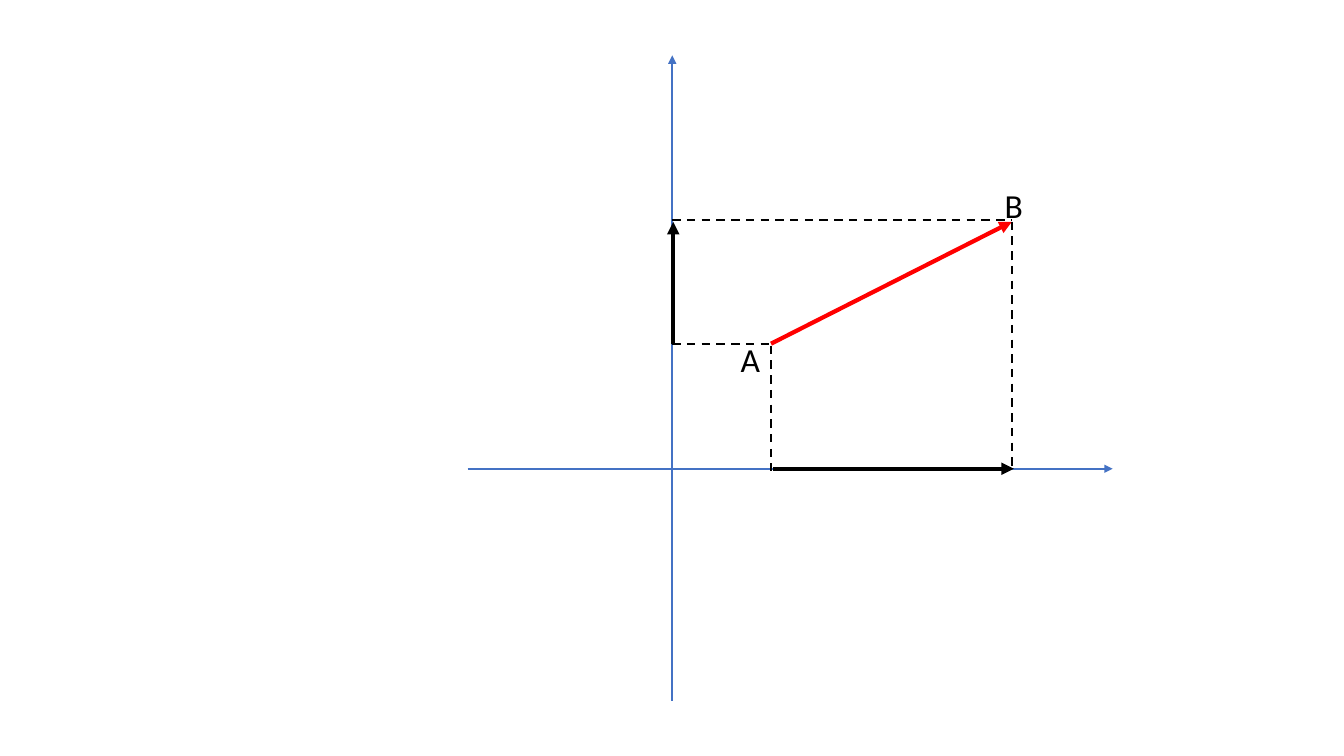
from dataclasses import dataclass

import pptx
import pptx.dml.color
import pptx.enum.dml
import pptx.enum.shapes
import pptx.enum.text
import pptx.oxml
import pptx.oxml.ns
import pptx.util

Pt = pptx.util.Pt
Color = pptx.dml.color.RGBColor


@dataclass(frozen=True)
class Theme:
    axis: str = "4472C4"
    vector: str = "FF0000"
    ink: str = "000000"
    font: str = "Calibri"
    label_size: float = 24
    thin: float = 1.5
    thick: float = 3


THEME = Theme()


def add_line(page, start, end, color, width, dashed=False, arrow=False):
    connector = page.shapes.add_connector(
        pptx.enum.shapes.MSO_CONNECTOR.STRAIGHT, *map(Pt, (*start, *end)))
    connector.line.color.rgb = Color.from_string(color)
    connector.line.width = Pt(width)
    if dashed:
        connector.line.dash_style = pptx.enum.dml.MSO_LINE.DASH
    if arrow:
        tail = pptx.oxml.parse_xml(
            f'<a:tailEnd {pptx.oxml.ns.nsdecls("a")} type="triangle"/>')
        connector.line._get_or_add_ln().append(tail)
    connector._element.spPr.append(
        pptx.oxml.parse_xml(f'<a:effectLst {pptx.oxml.ns.nsdecls("a")}/>'))


def add_label(page, text, left, top, width, height):
    box = page.shapes.add_textbox(*map(Pt, (left, top, width, height)))
    box.text_frame.word_wrap = False
    box.text_frame.auto_size = pptx.enum.text.MSO_AUTO_SIZE.SHAPE_TO_FIT_TEXT
    span = box.text_frame.paragraphs[0].add_run()
    span.text = text
    formats = {"name": THEME.font, "size": Pt(THEME.label_size)}
    for name, value in formats.items():
        setattr(span.font, name, value)
    span.font.color.rgb = Color.from_string(THEME.ink)


def add_vector_diagram(page, left, top, width, height):
    """Draw axes, the vector AB and its projections on both axes."""
    right, bottom = left + width, top + height
    origin_x, origin_y = left + 146.2, top + 295.2
    a_x, a_y = origin_x + 70.6, origin_y - 89.3
    b_x, b_y = origin_x + 242.6, origin_y - 176.4
    nudge = 1.44  # keeps overlapping strokes apart

    axes = [((left, origin_y), (right, origin_y)),
            ((origin_x, bottom), (origin_x, top))]
    for start, end in axes:
        add_line(page, start, end, THEME.axis, THEME.thin, arrow=True)

    add_line(page, (a_x, a_y), (b_x, b_y), THEME.vector, THEME.thick, arrow=True)
    add_label(page, "A", a_x - 28.8, a_y - 7.2, 28.8, 36)
    add_label(page, "B", b_x - 12.2, b_y - 29.5, 27.4, 36)

    guides = [((a_x, a_y + nudge), (a_x, origin_y + nudge)),
              ((b_x, b_y), (b_x, origin_y)),
              ((origin_x, b_y - nudge), (b_x, b_y - nudge)),
              ((origin_x, a_y), (a_x, a_y))]
    for start, end in guides:
        add_line(page, start, end, THEME.ink, THEME.thin, dashed=True)

    projections = [((a_x + nudge, origin_y), (b_x + nudge, origin_y)),
                   ((origin_x + nudge / 2, a_y), (origin_x + nudge / 2, b_y))]
    for start, end in projections:
        add_line(page, start, end, THEME.ink, THEME.thick, arrow=True)


def main():
    deck = pptx.Presentation()
    deck.slide_width, deck.slide_height = Pt(960), Pt(540)
    page = deck.slides.add_slide(deck.slide_layouts[6])
    add_vector_diagram(page, 334, 39.6, 460.8, 460.8)
    deck.save("out.pptx")


if __name__ == "__main__":
    main()
